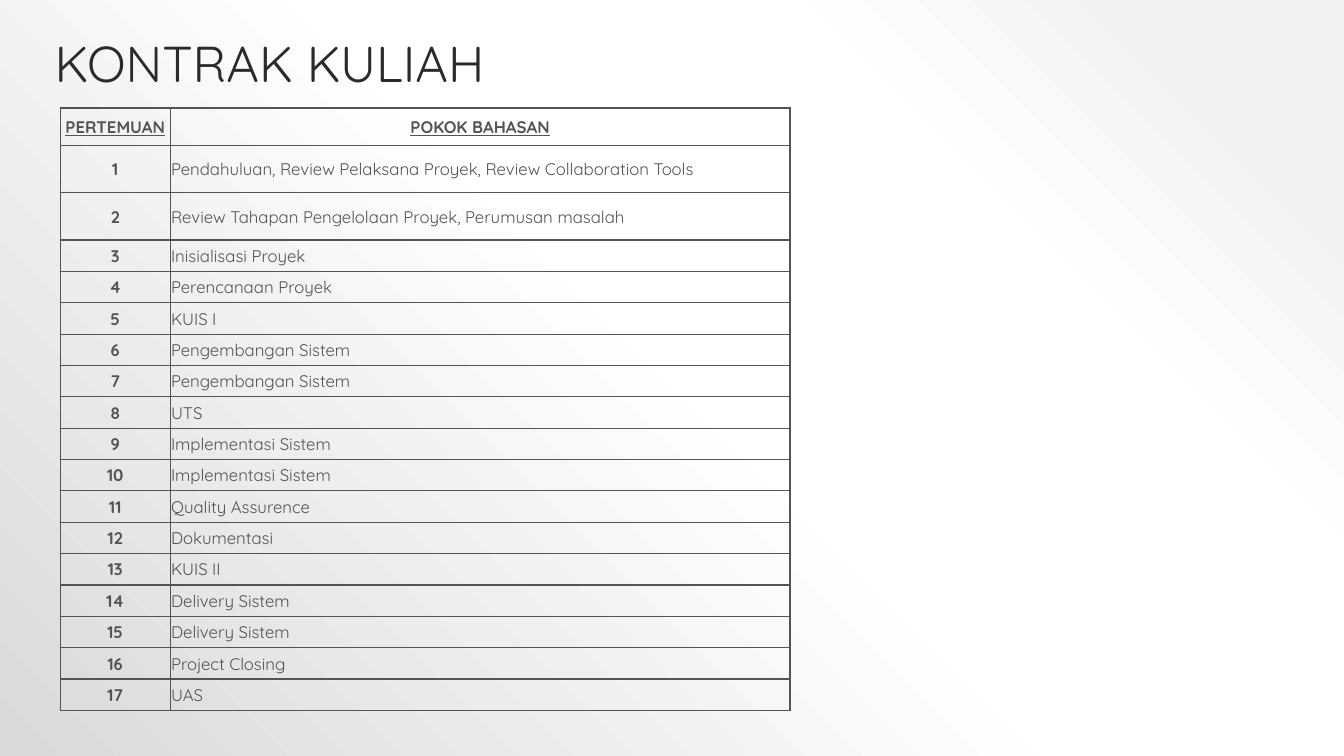
from lxml import etree
from pptx import Presentation
from pptx.dml.color import RGBColor
from pptx.enum import text
from pptx.oxml import parse_xml
from pptx.oxml.ns import nsdecls, qn
from pptx.util import Cm, Pt

FONT = "Quicksand"
TITLE_COLOR = RGBColor(0x2A, 0x2A, 0x2A)
TABLE_COLOR = RGBColor(0x54, 0x54, 0x54)
BACKGROUND_STOPS = [
    (10, RGBColor(0xF2, 0xF2, 0xF2)),
    (28, RGBColor(0xFF, 0xFF, 0xFF)),
    (48, RGBColor(0xFF, 0xFF, 0xFF)),
    (100, RGBColor(0xD9, 0xD9, 0xD9)),
]

TITLE = "KONTRAK KULIAH"
HEADERS = ("PERTEMUAN", "POKOK BAHASAN")
TOPICS = [
    "Pendahuluan, Review Pelaksana Proyek, Review Collaboration Tools",
    "Review Tahapan Pengelolaan Proyek, Perumusan masalah ",
    "Inisialisasi Proyek",
    "Perencanaan Proyek",
    "KUIS I",
    "Pengembangan Sistem",
    "Pengembangan Sistem",
    "UTS",
    "Implementasi Sistem",
    "Implementasi Sistem",
    "Quality Assurence",
    "Dokumentasi",
    "KUIS II",
    "Delivery Sistem",
    "Delivery Sistem",
    "Project Closing",
    "UAS",
]
COLUMN_WIDTHS = [Cm(2.77), Cm(15.62)]
ROW_HEIGHTS = [Cm(0.95)] + [Cm(1.19)] * 2 + [Cm(0.79)] * (len(TOPICS) - 2)


def paint_background(page):
    stops = "".join(
        f'<a:gs pos="{position * 1000}"><a:srgbClr val="{color}"/></a:gs>'
        for position, color in BACKGROUND_STOPS
    )
    background = parse_xml(
        f'<p:bg {nsdecls("p", "a")}><p:bgPr><a:gradFill rotWithShape="1">'
        f'<a:gsLst>{stops}</a:gsLst><a:lin ang="8100000" scaled="0"/>'
        '</a:gradFill><a:effectLst/></p:bgPr></p:bg>'
    )
    page._element.cSld.insert(0, background)


def add_span(paragraph, words, size, color, bold=False, underline=False):
    span = paragraph.add_run()
    span.text = words
    span.font.name = FONT
    span.font.size = Pt(size)
    span.font.color.rgb = color
    span.font.bold = bold
    span.font.underline = underline


def add_borders(cell):
    properties = cell._tc.get_or_add_tcPr()
    for position, side in enumerate(("lnL", "lnR", "lnT", "lnB")):
        line = etree.Element(qn(f"a:{side}"), w=str(Pt(1)))
        fill = etree.SubElement(line, qn("a:solidFill"))
        etree.SubElement(fill, qn("a:srgbClr"), val=str(TABLE_COLOR))
        properties.insert(position, line)


def fill_cell(cell, words, centered, bold, underline):
    cell.fill.background()
    add_borders(cell)
    cell.margin_left = cell.margin_right = cell.margin_top = Cm(0.02)
    cell.margin_bottom = 0
    cell.vertical_anchor = text.MSO_ANCHOR.MIDDLE
    paragraph = cell.text_frame.paragraphs[0]
    paragraph.alignment = text.PP_ALIGN.CENTER if centered else text.PP_ALIGN.LEFT
    add_span(paragraph, words, 12, TABLE_COLOR, bold, underline)


deck = Presentation()
deck.slide_width, deck.slide_height = Cm(33.87), Cm(19.05)
page = deck.slides.add_slide(deck.slide_layouts[5])
paint_background(page)

title = page.shapes.title
title.left, title.top, title.width, title.height = Cm(1.12), Cm(0.74), Cm(27.1), Cm(1.75)
title.text_frame.auto_size = text.MSO_AUTO_SIZE.NONE
title.text_frame.vertical_anchor = text.MSO_ANCHOR.BOTTOM
heading = title.text_frame.paragraphs[0]
heading.alignment = text.PP_ALIGN.LEFT
heading.line_spacing = 0.9
add_span(heading, TITLE, 36, TITLE_COLOR)

rows = [HEADERS] + [(str(number), topic) for number, topic in enumerate(TOPICS, 1)]
table = page.shapes.add_table(
    len(rows), len(HEADERS), Cm(1.52), Cm(2.72), sum(COLUMN_WIDTHS), sum(ROW_HEIGHTS)
).table
table.first_row = table.horz_banding = False
for column, width in zip(table.columns, COLUMN_WIDTHS):
    column.width = width
for row_index, (row, height) in enumerate(zip(rows, ROW_HEIGHTS)):
    table.rows[row_index].height = height
    is_header = row_index == 0
    for column_index, words in enumerate(row):
        strong = is_header or column_index == 0
        fill_cell(table.cell(row_index, column_index), words, strong, strong, is_header)

deck.save("out.pptx")
